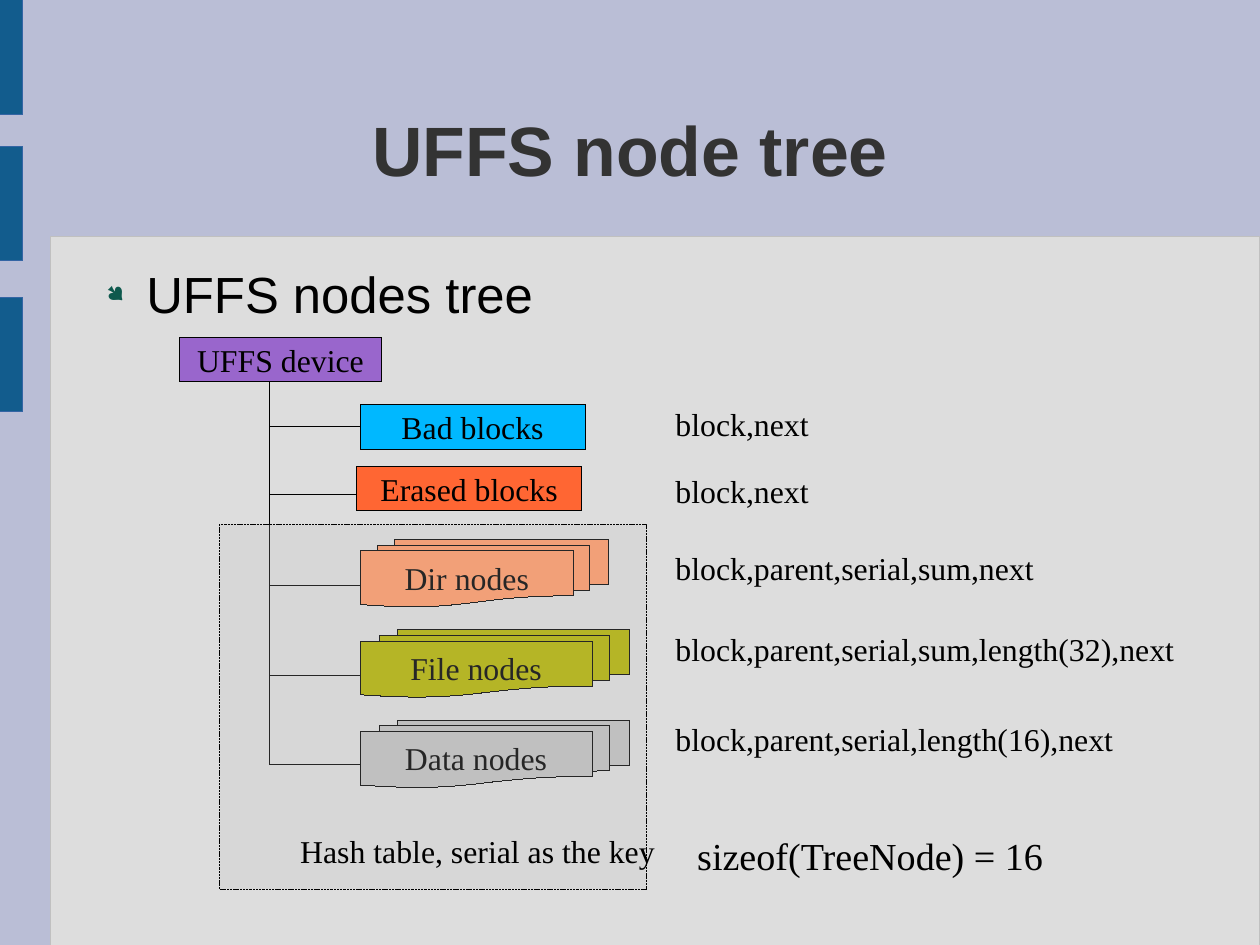
from dataclasses import dataclass

from lxml.etree import SubElement
from pptx import Presentation
from pptx.dml.color import RGBColor
from pptx.enum.dml import MSO_LINE
from pptx.enum.shapes import MSO_CONNECTOR, MSO_SHAPE
from pptx.enum.text import MSO_ANCHOR, PP_ALIGN
from pptx.oxml.ns import qn
from pptx.shapes.autoshape import Shape
from pptx.shapes.connector import Connector
from pptx.slide import Slide
from pptx.util import Inches, Pt

COLORS = {
    "background": "BABED6", "panel": "DDDDDD", "panel_line": "C0C0C0",
    "bar": "125C8D", "bar_line": "3465A4", "title": "333333",
    "text": "000000", "bullet": "0E594D", "device": "9966CC",
    "bad": "00B8FF", "erased": "FF6633", "dir": "FF9966",
    "file": "B3B300", "data": "C0C0C0", "hash": "C0C0C0",
}
SANS, SERIF = "Arial", "Times New Roman"
CM_PER_INCH = 2.54
SLIDE_WIDTH, SLIDE_HEIGHT = 28 / CM_PER_INCH, 21 / CM_PER_INCH
TRUNK_X, NODE_X, FIELDS_X = 2.36, 3.15, 5.91
BOX_HEIGHT, STACK_HEIGHT = 0.39, 0.59


@dataclass(frozen=True)
class Box:
    left: float
    top: float
    width: float
    height: float
    fill: str
    line: str = "text"
    text: str = ""
    kind: MSO_SHAPE = MSO_SHAPE.RECTANGLE


@dataclass(frozen=True)
class Label:
    left: float
    top: float
    width: float
    height: float
    text: str
    size: float = 20
    font: str = SERIF
    color: str = "text"
    bold: bool = False
    align: PP_ALIGN = PP_ALIGN.LEFT
    anchor: MSO_ANCHOR = MSO_ANCHOR.TOP


def stack(top: float, width: float, fill: str, text: str) -> Box:
    """Describe a pile of nodes."""
    return Box(NODE_X, top, width, STACK_HEIGHT, fill, text=text,
               kind=MSO_SHAPE.FLOWCHART_MULTIDOCUMENT)


PANEL = Box(0.44, 2.07, 10.58, 6.2, "panel", "panel_line")
BARS = [Box(0, top, 0.2, 1, "bar", "bar_line") for top in (0, 2.6, 1.28)]
DEVICE = Box(1.57, 2.95, 1.77, BOX_HEIGHT, "device", text="UFFS device")
BAD_BLOCKS = Box(NODE_X, 3.54, 1.97, BOX_HEIGHT, "bad", text="Bad blocks")
ERASED_BLOCKS = Box(3.12, 4.08, 1.97, BOX_HEIGHT, "erased", text="Erased blocks")
STACKS = [
    stack(4.72, 2.17, "dir", "Dir nodes"),
    stack(5.51, 2.36, "file", "File nodes"),
    stack(6.3, 2.36, "data", "Data nodes"),
]
HASH_AREA = Box(1.92, 4.59, 3.74, 3.19, "hash")
BRANCHES = (4.33, 5.12, 5.91, 6.69)

TITLE = Label(0.81, 0.61, 9.41, 1.38, "UFFS node tree", 44, SANS, "title", True,
              PP_ALIGN.CENTER, MSO_ANCHOR.MIDDLE)
HEADING = Label(0.81, 2.3, 9.41, 5.21, "UFFS nodes tree", 32, SANS)
FIELDS = [
    Label(FIELDS_X, 3.54, 2.17, 0.38, "block,next"),
    Label(FIELDS_X, 4.13, 2.36, 0.38, "block,next"),
    Label(FIELDS_X, 4.8, 3.54, 0.76, "block,parent,serial,sum,next"),
    Label(FIELDS_X, 5.51, 4.53, 0.76, "block,parent,serial,sum,length(32),next"),
    Label(FIELDS_X, 6.3, 3.94, 0.76, "block,parent,serial,length(16),next"),
]
HASH_NOTE = Label(2.16, 7.28, 4.04, 0.38, "Hash table, serial as the key",
                  align=PP_ALIGN.CENTER)
SIZE_NOTE = Label(6.1, 7.28, 3.35, 0.91, "sizeof(TreeNode) = 16", 24)


def rgb(name: str) -> RGBColor:
    return RGBColor.from_string(COLORS[name])


def write_text(shape: Shape, label: Label) -> None:
    frame = shape.text_frame
    frame.text = label.text
    frame.word_wrap = True
    frame.vertical_anchor = label.anchor
    frame.margin_left = frame.margin_right = 0
    frame.margin_top = frame.margin_bottom = 0
    paragraph = frame.paragraphs[0]
    paragraph.alignment = label.align
    font = paragraph.runs[0].font
    font.name, font.size, font.bold = label.font, Pt(label.size), label.bold
    font.color.rgb = rgb(label.color)


def draw_label(slide: Slide, label: Label) -> Shape:
    shape = slide.shapes.add_textbox(Inches(label.left), Inches(label.top),
                                     Inches(label.width), Inches(label.height))
    write_text(shape, label)
    return shape


def use_hairline(shape: Shape | Connector, color: str) -> None:
    """Drop the theme style, so that the line gets its thinnest width."""
    shape.element.remove(shape.element.find(qn("p:style")))
    shape.line.color.rgb = rgb(color)


def draw_box(slide: Slide, box: Box) -> Shape:
    shape = slide.shapes.add_shape(box.kind, Inches(box.left), Inches(box.top),
                                   Inches(box.width), Inches(box.height))
    shape.shadow.inherit = False
    shape.fill.solid()
    shape.fill.fore_color.rgb = rgb(box.fill)
    use_hairline(shape, box.line)
    if box.text:
        write_text(shape, Label(box.left, box.top, box.width, box.height, box.text,
                                align=PP_ALIGN.CENTER, anchor=MSO_ANCHOR.MIDDLE))
    return shape


def draw_line(slide: Slide, x1: float, y1: float, x2: float, y2: float) -> Connector:
    connector = slide.shapes.add_connector(MSO_CONNECTOR.STRAIGHT, Inches(x1),
                                           Inches(y1), Inches(x2), Inches(y2))
    use_hairline(connector, "text")
    SubElement(connector.element.spPr, qn("a:effectLst"))
    return connector


def add_bullet(shape: Shape) -> None:
    properties = shape.text_frame.paragraphs[0]._p.get_or_add_pPr()
    properties.set("marL", str(Inches(0.47)))
    properties.set("indent", str(Inches(-0.35)))
    bullet_color = SubElement(properties, qn("a:buClr"))
    SubElement(bullet_color, qn("a:srgbClr"), val=COLORS["bullet"])
    SubElement(properties, qn("a:buSzPct"), val="45000")
    SubElement(properties, qn("a:buFont"), typeface="Wingdings", charset="2")
    SubElement(properties, qn("a:buChar"), char="●")


def draw_hash_area(slide: Slide) -> None:
    shape = draw_box(slide, HASH_AREA)
    shape.line.width = Pt(0.5)
    shape.line.dash_style = MSO_LINE.SQUARE_DOT
    color = shape.element.spPr.find(qn("a:solidFill")).find(qn("a:srgbClr"))
    SubElement(color, qn("a:alpha"), val="20000")


def draw_tree(slide: Slide) -> None:
    draw_box(slide, DEVICE)
    draw_line(slide, TRUNK_X, DEVICE.top + DEVICE.height, TRUNK_X, BRANCHES[-1])
    for y in BRANCHES:
        draw_line(slide, TRUNK_X, y, NODE_X, y)
    for box in STACKS:
        draw_box(slide, box)
    bad_blocks = draw_box(slide, BAD_BLOCKS)
    middle = BAD_BLOCKS.top + BAD_BLOCKS.height / 2
    draw_line(slide, TRUNK_X, middle, NODE_X, middle).end_connect(bad_blocks, 1)
    for label in FIELDS:
        draw_label(slide, label)
    draw_hash_area(slide)
    draw_label(slide, HASH_NOTE)
    draw_box(slide, ERASED_BLOCKS)


def main() -> None:
    presentation = Presentation()
    presentation.slide_width = Inches(SLIDE_WIDTH)
    presentation.slide_height = Inches(SLIDE_HEIGHT)
    slide = presentation.slides.add_slide(presentation.slide_layouts[6])
    slide.background.fill.solid()
    slide.background.fill.fore_color.rgb = rgb("background")
    for box in [PANEL, *BARS]:
        draw_box(slide, box)
    draw_label(slide, TITLE)
    add_bullet(draw_label(slide, HEADING))
    draw_tree(slide)
    draw_label(slide, SIZE_NOTE)
    presentation.save("out.pptx")


if __name__ == "__main__":
    main()
